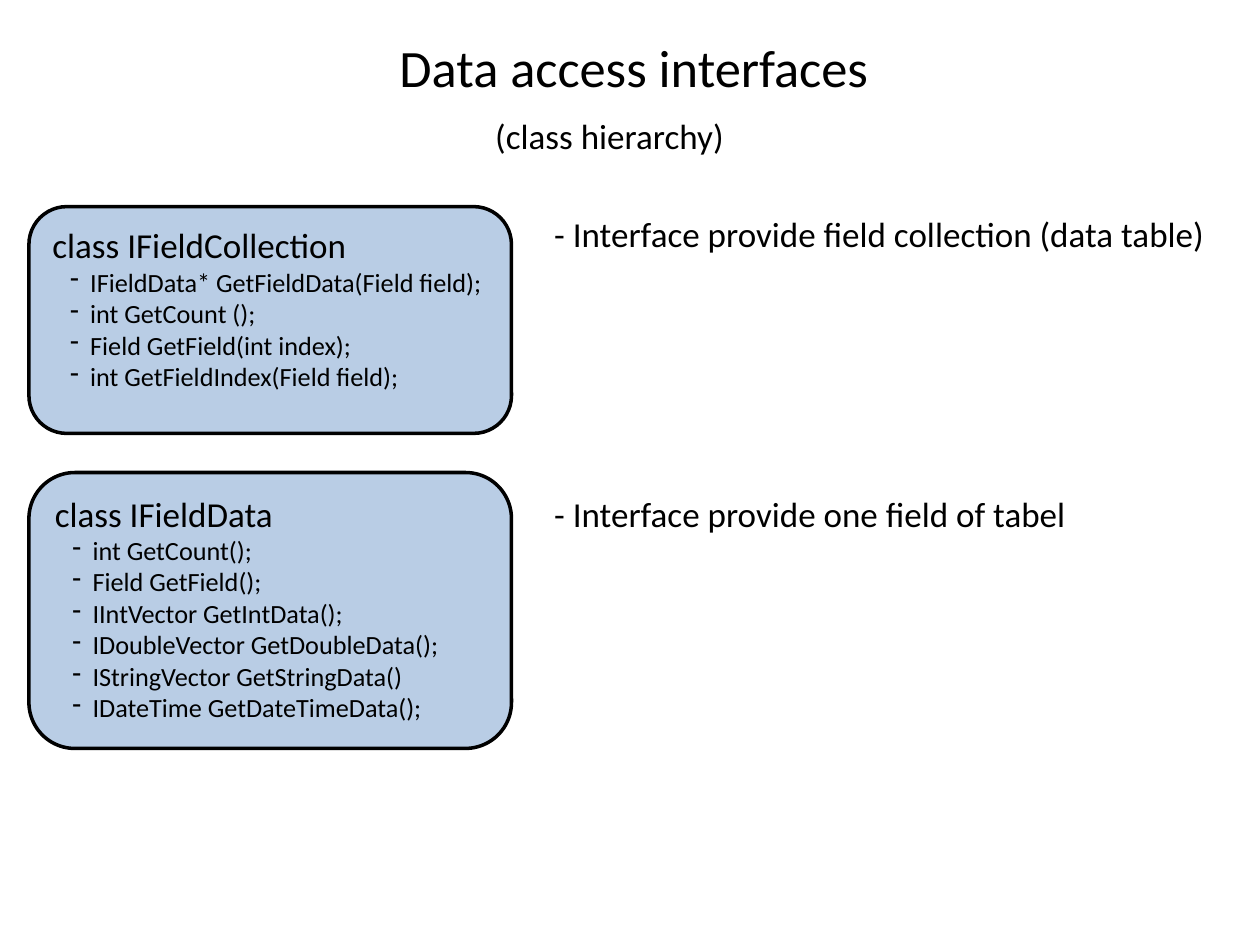
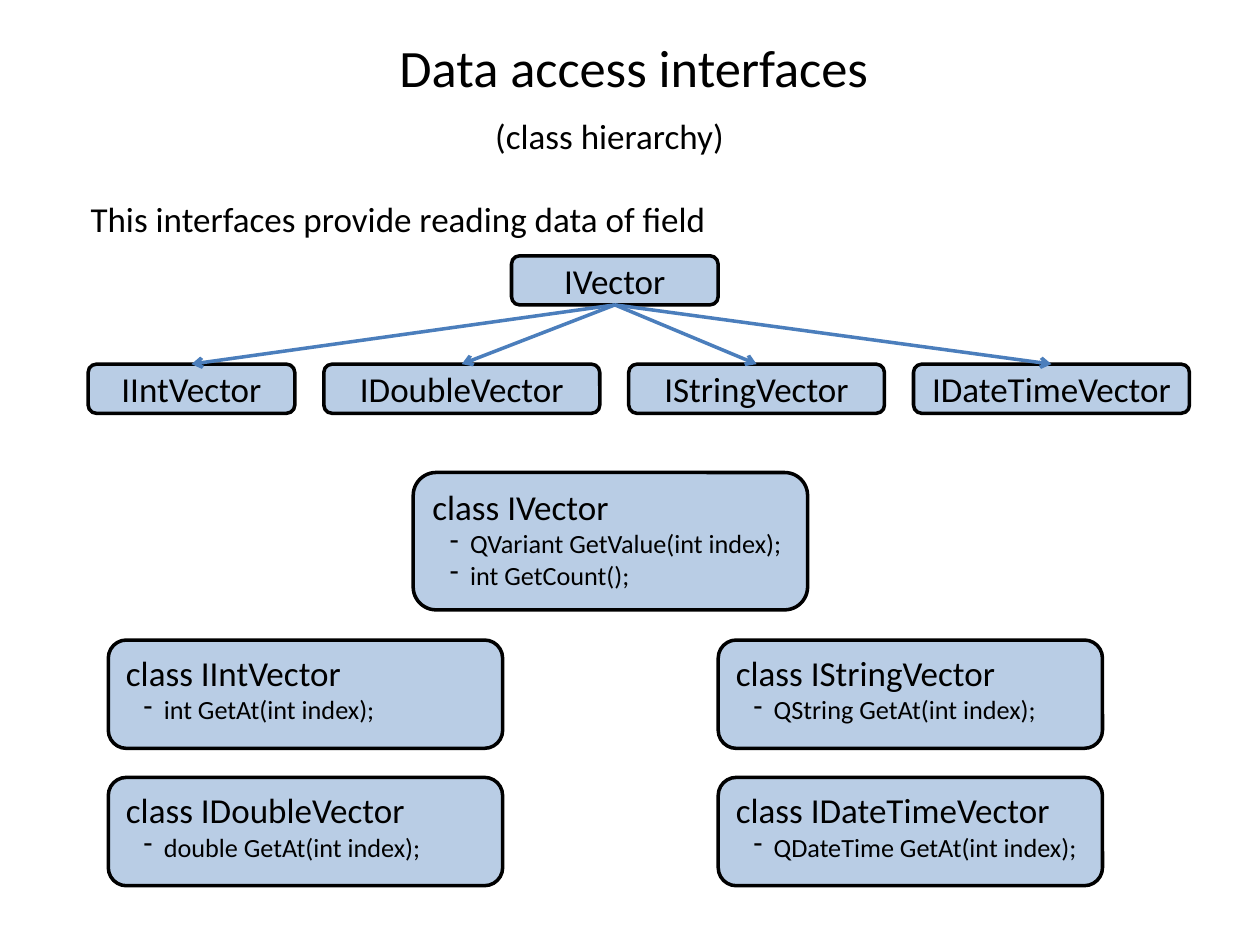
from lxml import etree
from pptx import Presentation
from pptx.dml.color import RGBColor
from pptx.enum.shapes import MSO_CONNECTOR, MSO_SHAPE
from pptx.enum.text import MSO_ANCHOR, MSO_AUTO_SIZE, PP_ALIGN
from pptx.oxml.ns import qn
from pptx.util import Inches, Pt

ROUND = MSO_SHAPE.ROUNDED_RECTANGLE
LINE = MSO_CONNECTOR.STRAIGHT
LEFT, CENTER = PP_ALIGN.LEFT, PP_ALIGN.CENTER
TOP, MIDDLE = MSO_ANCHOR.TOP, MSO_ANCHOR.MIDDLE
FIT_NONE = MSO_AUTO_SIZE.NONE
TITLE_ONLY = 5

FONT = "Calibri"
INK, FILL, ARROW = "000000", "B9CDE5", "4B7EBC"
HEAD, BODY, METHOD = 30, 20, 15

COL, GAP = 3.83, 0.23        # class column and its margin on the first slide
TREE_TOP, NODE = 2.89, 0.39  # tree leaves: top and height


def color(code):
    return RGBColor.from_string(code)


def write(frame, text, size=BODY, align=LEFT, indent=0, hang=0, before=0,
          bullet=None, first=False):
    """Add one formatted paragraph to a text frame."""
    para = frame.paragraphs[0] if first else frame.add_paragraph()
    para.alignment = align
    para.space_before = Pt(before)
    props = para._p.get_or_add_pPr()
    props.set("marL", str(Inches(indent)))
    props.set("indent", str(-Inches(hang)))
    if bullet:
        etree.SubElement(props, qn("a:buChar"), char=bullet)
    run = para.add_run()
    run.text = text
    run.font.name = FONT
    run.font.size = Pt(size)
    run.font.color.rgb = color(INK)


def setup(frame, anchor=TOP):
    frame.word_wrap = True
    frame.auto_size = FIT_NONE
    frame.vertical_anchor = anchor
    return frame


def add_slide(deck):
    """Add a slide with the shared title and subtitle."""
    slide = deck.slides.add_slide(deck.slide_layouts[TITLE_ONLY])
    title = slide.shapes.title
    title.left, title.top = Inches(2.89), Inches(0.23)
    title.width, title.height = Inches(4.22), Inches(1.11)
    frame = setup(title.text_frame)
    write(frame, "Data access interfaces", size=HEAD, indent=0.18, first=True)
    write(frame, "(class hierarchy)", indent=0.94, before=9.5)
    return slide


def add_note(slide, text, left, top, width):
    box = slide.shapes.add_textbox(Inches(left), Inches(top),
                                   Inches(width), Inches(0.44))
    write(setup(box.text_frame), text, first=True)


def add_box(slide, left, top, width, height, anchor=TOP):
    box = slide.shapes.add_shape(ROUND, Inches(left), Inches(top),
                                 Inches(width), Inches(height))
    box.shadow.inherit = False
    box.fill.solid()
    box.fill.fore_color.rgb = color(FILL)
    box.line.color.rgb = color(INK)
    box.line.width = Pt(2)
    setup(box.text_frame, anchor)
    return box


def add_class(slide, name, methods, left, top, width, height):
    """Draw a class box: its name, then a dashed list of methods."""
    frame = add_box(slide, left, top, width, height).text_frame
    write(frame, f"class {name}", first=True)
    for method in methods:
        write(frame, method, size=METHOD, indent=0.3, hang=0.16, bullet="-")


def add_node(slide, name, left, top, width):
    node = add_box(slide, left, top, width, NODE, MIDDLE)
    write(node.text_frame, name, align=CENTER, first=True)
    return node


def add_arrow(slide, parent, child):
    arrow = slide.shapes.add_connector(LINE, 0, 0, 0, 0)
    arrow.begin_connect(parent, 2)
    arrow.end_connect(child, 0)
    arrow.line.color.rgb = color(ARROW)
    arrow.line.width = Pt(2)
    etree.SubElement(arrow.line._get_or_add_ln(), qn("a:tailEnd"), type="arrow")
    etree.SubElement(arrow._element.spPr, qn("a:effectLst"))


def build_fields(deck):
    slide = add_slide(deck)
    add_class(slide, "IFieldCollection",
              ["IFieldData* GetFieldData(Field field);", "int GetCount ();",
               "Field GetField(int index);", "int GetFieldIndex(Field field);"],
              GAP, 1.64, COL, 1.8)
    add_class(slide, "IFieldData",
              ["int GetCount();", "Field GetField();",
               "IIntVector GetIntData();", "IDoubleVector GetDoubleData();",
               "IStringVector GetStringData()",
               "IDateTime GetDateTimeData();"],
              GAP, 3.75, COL, 2.19)
    add_note(slide, "- Interface provide field collection (data table)",
             4.3, 1.64, 5.39)
    add_note(slide, "- Interface provide one field of tabel", 4.3, 3.86, 4.77)


def build_vectors(deck):
    slide = add_slide(deck)
    add_note(slide, "This interfaces provide reading data of field",
             0.62, 1.52, 5.78)

    root = add_node(slide, "IVector", 4.06, 2.03, 1.64)
    left = 0.7
    for name, width in [("IIntVector", 1.64), ("IDoubleVector", 2.19),
                        ("IStringVector", 2.03), ("IDateTimeVector", 2.19)]:
        leaf = add_node(slide, name, left, TREE_TOP, width)
        add_arrow(slide, root, leaf)
        left += width + GAP

    add_class(slide, "IVector",
              ["QVariant GetValue(int index);", "int GetCount();"],
              3.28, 3.75, 3.13, 1.09)
    columns = [
        (0.86, 3.13, [("IIntVector", "int"), ("IDoubleVector", "double")]),
        (5.7, 3.05, [("IStringVector", "QString"),
                     ("IDateTimeVector", "QDateTime")]),
    ]
    for left, width, items in columns:
        for row, (name, kind) in enumerate(items):
            add_class(slide, name, [f"{kind} GetAt(int index);"],
                      left, 5.08 + 1.09 * row, width, 0.86)


def main():
    deck = Presentation()
    deck.slide_width, deck.slide_height = Inches(10), Inches(7.5)
    build_fields(deck)
    build_vectors(deck)
    deck.save("out.pptx")


if __name__ == "__main__":
    main()
